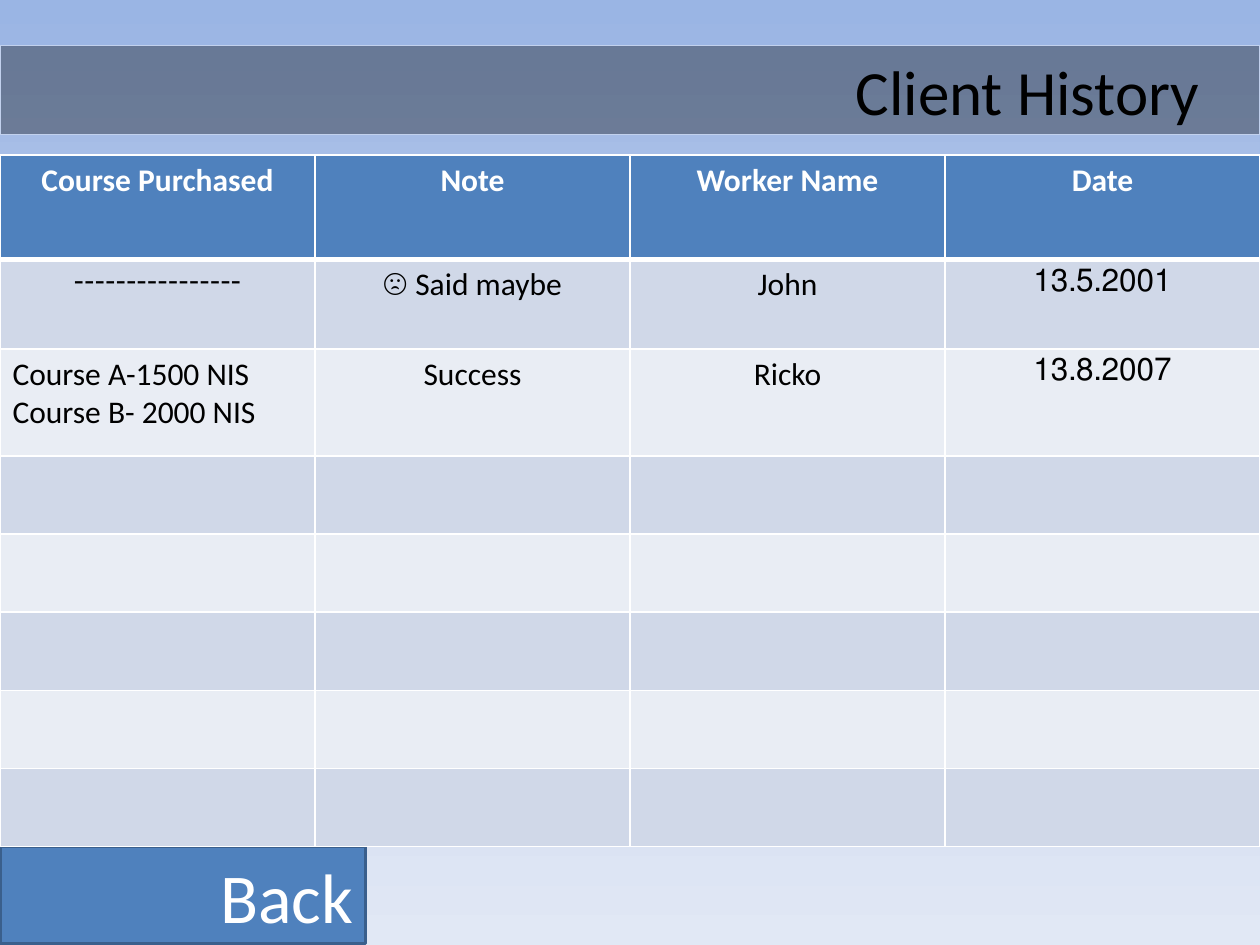
import copy
from pptx import Presentation
from pptx import util as u
from pptx.dml.color import RGBColor
from pptx.enum import shapes, text
from pptx.oxml import parse_xml
from pptx.oxml.ns import nsdecls, qn

BLACK = RGBColor(0x00, 0x00, 0x00)
WHITE = RGBColor(0xFF, 0xFF, 0xFF)
BLUE = RGBColor(0x4F, 0x81, 0xBD)
DARK_BLUE = RGBColor(0x3A, 0x5F, 0x8C)
SKY = RGBColor(0x9A, 0xB5, 0xE4)
PALE = RGBColor(0xC2, 0xD1, 0xED)
MIST = RGBColor(0xE1, 0xE8, 0xF5)
BAND_DARK = RGBColor(0xD0, 0xD8, 0xE8)
BAND_LIGHT = RGBColor(0xE9, 0xED, 0xF4)

RIGHT = text.PP_ALIGN.RIGHT
CENTER = text.PP_ALIGN.CENTER


class SlideBuilder:
    font = "Calibri"

    def __init__(self, prs):
        self.slide = prs.slides.add_slide(prs.slide_layouts[5])

    def background(self, colors):
        fill = self.slide.background.fill
        fill.gradient()
        fill.gradient_angle = 270
        stop_list = next(self.slide.element.iter(qn("a:gsLst")))
        while len(stop_list) < len(colors):
            stop_list.append(copy.deepcopy(stop_list[0]))
        for i, (stop, color) in enumerate(zip(fill.gradient_stops, colors)):
            stop.color.rgb = color
            stop.position = i / (len(colors) - 1)

    def add_lines(self, tf, lines, size, color, align=None, bold=False):
        for i, line in enumerate(lines):
            p = tf.paragraphs[0] if i == 0 else tf.add_paragraph()
            p.alignment = align
            p._p.get_or_add_pPr().set("rtl", "1")
            r = p.add_run()
            r.text = line
            r.font.name = self.font
            r.font.size = u.Pt(size)
            r.font.bold = bold
            r.font.color.rgb = color

    def style(self, sp, box, fill, line, width):
        sp.left, sp.top, sp.width, sp.height = map(u.Inches, box)
        sp.fill.solid()
        sp.fill.fore_color.rgb = fill
        sp.line.color.rgb = line
        sp.line.width = u.Pt(width)
        tf = sp.text_frame
        tf.word_wrap = True
        tf.auto_size = text.MSO_AUTO_SIZE.NONE
        tf.vertical_anchor = text.MSO_ANCHOR.MIDDLE
        return tf

    def title(self, line, box, opacity):
        sp = self.slide.shapes.title
        tf = self.style(sp, box, BLACK, PALE, 0.75)
        tf.margin_right = u.Inches(0.48)
        color = sp.element.spPr.find(qn("a:solidFill"))[0]
        color.append(parse_xml(f'<a:alpha {nsdecls("a")} val="{opacity * 1000}"/>'))
        self.add_lines(tf, [line], 36, BLACK, RIGHT)

    def button(self, line, box):
        sp = self.slide.shapes.add_shape(
            shapes.MSO_SHAPE.RECTANGLE, *map(u.Inches, box))
        sp.shadow.inherit = False
        tf = self.style(sp, box, BLUE, DARK_BLUE, 2)
        self.add_lines(tf, [line], 40, WHITE, RIGHT)

    def borders(self, cell, **widths):
        tc_pr = cell._tc.get_or_add_tcPr()
        for i, (side, width) in enumerate(widths.items()):
            tc_pr.insert(i, parse_xml(
                f'<a:{side} {nsdecls("a")} w="{u.Pt(width)}"><a:solidFill>'
                f'<a:srgbClr val="{WHITE}"/></a:solidFill></a:{side}>'))

    def table(self, rows, box, heights):
        table = self.slide.shapes.add_table(
            len(heights), len(rows[0]), *map(u.Inches, box)).table
        for row, height in zip(table.rows, heights):
            row.height = u.Inches(height)
        for i, row in enumerate(table.rows):
            header = i == 0
            for j, cell in enumerate(row.cells):
                cell.fill.solid()
                cell.fill.fore_color.rgb = (
                    BLUE if header else BAND_DARK if i % 2 else BAND_LIGHT)
                self.borders(cell, lnL=1, lnR=1, lnT=3 if i == 1 else 1,
                             lnB=3 if header else 1)
                if i < len(rows):
                    lines = rows[i][j].split("\n")
                    self.add_lines(cell.text_frame, lines, 18,
                                   WHITE if header else BLACK,
                                   CENTER if len(lines) == 1 else None, header)


HISTORY = [
    ["Course Purchased", "Note", "Worker Name", "Date"],
    ["-" * 16, "Said maybe \u2639", "John", "13.5.2001"],
    ["Course A-1500 NIS\nCourse B- 2000 NIS", "Success", "Ricko", "13.8.2007"],
]

prs = Presentation()
prs.slide_width, prs.slide_height = u.Inches(10), u.Inches(7.5)
s = SlideBuilder(prs)
s.background([SKY, PALE, MIST])
s.title("Client History", (0, 0.36, 10, 0.71), 34)
s.button("Back", (0, 6.72, 2.9, 0.77))
s.table(HISTORY, (0, 1.23, 10, 5.49), [0.83, 0.71, 0.85] + [0.62] * 5)
prs.save("out.pptx")
